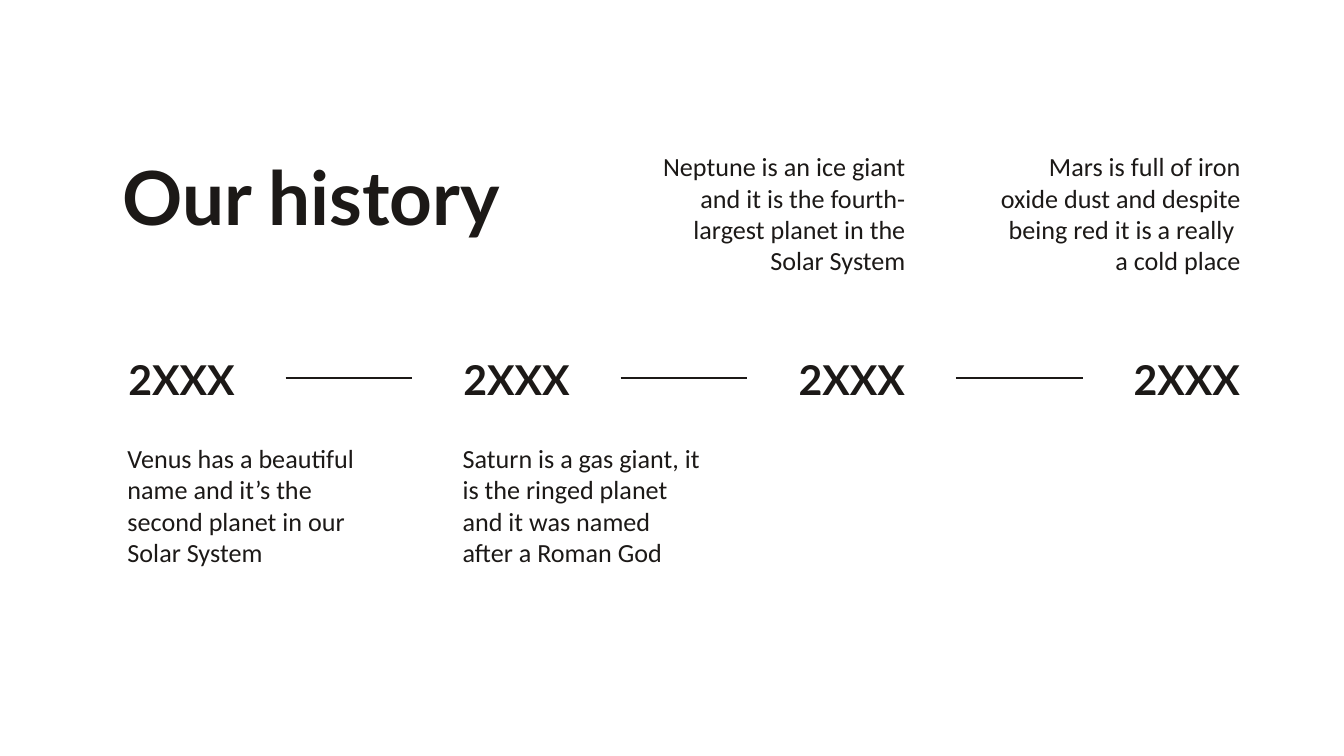
from pptx import Presentation
from pptx.dml.color import RGBColor
from pptx.enum.shapes import MSO_CONNECTOR
from pptx.enum.text import MSO_ANCHOR, MSO_AUTO_SIZE, PP_ALIGN
from pptx.oxml.ns import qn
from pptx.util import Inches, Pt
from lxml.etree import SubElement

TITLE = "Our history"
MILESTONES = [
    # year, description, row of the description
    ("2XXX", "Venus has a beautiful name and it’s the second planet in our Solar System", "below"),
    ("2XXX", "Saturn is a gas giant, it is the ringed planet and it was named after a Roman God", "below"),
    ("2XXX", "Neptune is an ice giant and it is the fourth-largest planet in the Solar System", "above"),
    ("2XXX", "Mars is full of iron oxide dust and despite being red it is a really \va cold place", "above"),
]

INK = RGBColor(0x1C, 0x19, 0x17)
THEME = {
    "title": {"name": "Lato", "size": Pt(40), "bold": True},
    "year": {"name": "Lato", "size": Pt(22), "bold": True},
    "body": {"name": "Calibri", "size": Pt(14), "bold": False},
    "line_width": Pt(0.75),
}

SLIDE_WIDTH = 10
SLIDE_HEIGHT = SLIDE_WIDTH * 9 / 16
FIRST_CENTER, LAST_CENTER = 1.35, 8.83
COLUMN_PITCH = (LAST_CENTER - FIRST_CENTER) / (len(MILESTONES) - 1)
YEAR_SIZE = (1.55, 0.58)
YEAR_TOP = (SLIDE_HEIGHT - YEAR_SIZE[1]) / 2
BODY_SIZE = (2.01, 1.42)
BODY_EDGE = 0.5  # from the column centre to the aligned edge of the description
ROW_TOPS = {"above": 1.02, "below": 3.19}
TITLE_BOX = (0.81, ROW_TOPS["above"], 3.58, 1.17)


def write(shape, text, style, align=PP_ALIGN.LEFT, anchor=MSO_ANCHOR.TOP):
    frame = shape.text_frame
    settings = {"word_wrap": True, "auto_size": MSO_AUTO_SIZE.NONE, "vertical_anchor": anchor}
    settings |= {f"margin_{side}": Inches(0.1) for side in ("left", "top", "right", "bottom")}
    for name, value in settings.items():
        setattr(frame, name, value)
    frame.text = text
    paragraph = frame.paragraphs[0]
    paragraph.alignment = align
    for run in paragraph.runs:
        for name, value in THEME[style].items():
            setattr(run.font, name, value)
        run.font.color.rgb = INK


def add_text(slide, box, *text_format):
    shape = slide.shapes.add_textbox(*map(Inches, box))
    write(shape, *text_format)
    return shape


def join(slide, left_year, right_year):
    connector = slide.shapes.add_connector(MSO_CONNECTOR.STRAIGHT, 0, 0, 0, 0)
    connector.begin_connect(left_year, 3)
    connector.end_connect(right_year, 1)
    connector.line.color.rgb = INK
    connector.line.width = THEME["line_width"]
    SubElement(connector.element.spPr, qn("a:effectLst"))


def main():
    presentation = Presentation()
    presentation.slide_width = Inches(SLIDE_WIDTH)
    presentation.slide_height = Inches(SLIDE_HEIGHT)
    slide = presentation.slides.add_slide(presentation.slide_layouts[5])

    title = slide.shapes.title
    for name, value in zip(("left", "top", "width", "height"), TITLE_BOX):
        setattr(title, name, Inches(value))
    write(title, TITLE, "title")

    years = []
    for column, (year, description, row) in enumerate(MILESTONES):
        center = FIRST_CENTER + column * COLUMN_PITCH
        if row == "below":
            left, align = center - BODY_EDGE, PP_ALIGN.LEFT
        else:
            left, align = center + BODY_EDGE - BODY_SIZE[0], PP_ALIGN.RIGHT
        add_text(slide, (left, ROW_TOPS[row], *BODY_SIZE), description, "body", align)
        year_box = (center - YEAR_SIZE[0] / 2, YEAR_TOP, *YEAR_SIZE)
        years.append(add_text(slide, year_box, year, "year", PP_ALIGN.CENTER, MSO_ANCHOR.BOTTOM))

    for left_year, right_year in zip(years, years[1:]):
        join(slide, left_year, right_year)

    presentation.save("out.pptx")


if __name__ == "__main__":
    main()
